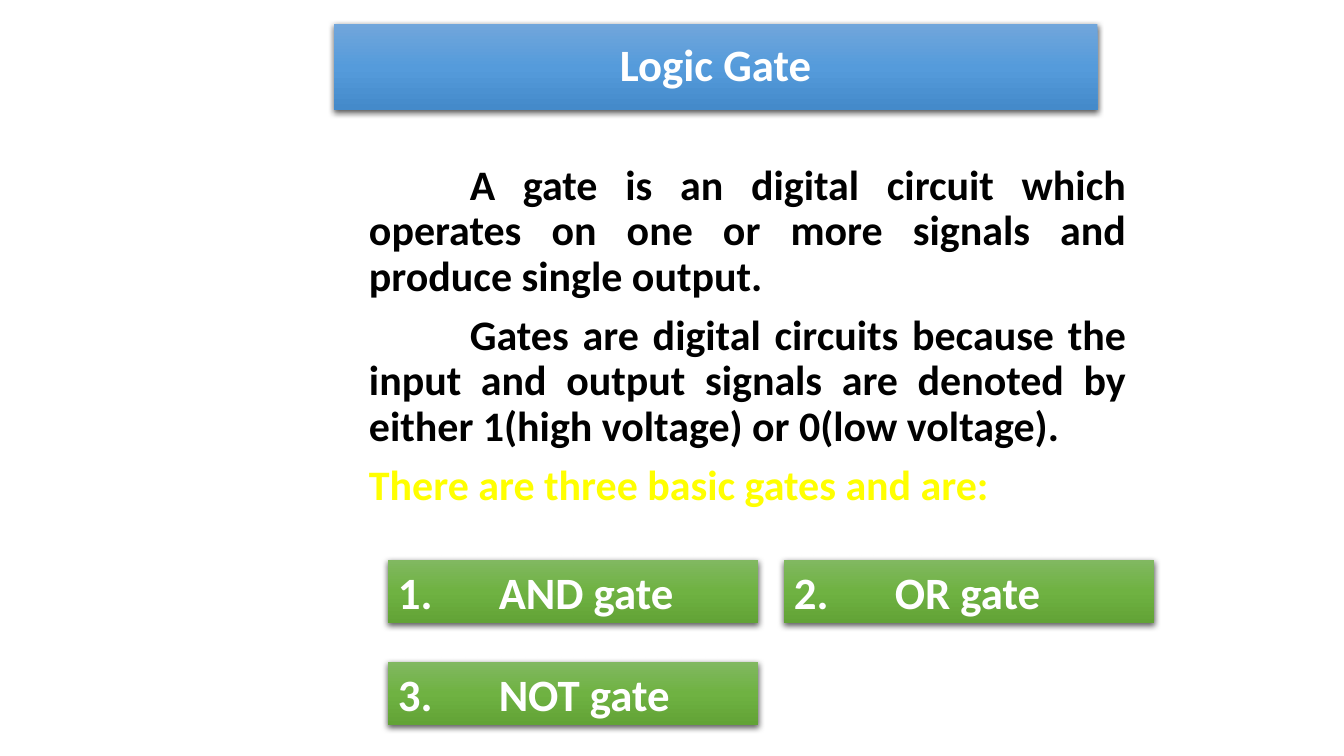
from copy import deepcopy
from dataclasses import dataclass

from lxml import etree
from pptx import Presentation
from pptx.dml.color import RGBColor
from pptx.enum.shapes import MSO_SHAPE
from pptx.enum.text import MSO_ANCHOR, PP_ALIGN
from pptx.oxml import parse_xml
from pptx.oxml.ns import nsdecls, qn
from pptx.util import Cm, Pt

RECTANGLE = MSO_SHAPE.RECTANGLE
MIDDLE, TOP = MSO_ANCHOR.MIDDLE, MSO_ANCHOR.TOP
LEFT, CENTER, JUSTIFY = PP_ALIGN.LEFT, PP_ALIGN.CENTER, PP_ALIGN.JUSTIFY


@dataclass(frozen=True)
class Theme:
    font: str = "Calibri"
    heading_size: int = 32
    body_size: int = 30
    white: str = "FFFFFF"
    black: str = "000000"
    yellow: str = "FFFF00"
    blue_shades: tuple = ("71A6DB", "559BDB", "448ACA")
    green_shades: tuple = ("81B861", "6FB242", "62A336")


class SlideBuilder:
    def __init__(self, slide, theme):
        self.slide = slide
        self.theme = theme

    def style(self, paragraph, size, color, align):
        paragraph.alignment = align
        font = paragraph.font
        font.name, font.size, font.bold = self.theme.font, Pt(size), True
        font.color.rgb = RGBColor.from_string(color)

    def shade(self, panel, shades):
        """Fill top to bottom with three evenly spaced shades."""
        panel.fill.gradient()
        panel.fill.gradient_angle = 270
        first_stop = next(panel._element.spPr.iter(qn("a:gs")))
        first_stop.addnext(deepcopy(first_stop))
        for i, (stop, shade) in enumerate(zip(panel.fill.gradient_stops, shades)):
            stop.position = i / 2
            stop.color.rgb = RGBColor.from_string(shade)

    def cast_shadow(self, panel):
        panel.shadow.inherit = False
        effects = panel._element.spPr.find(qn("a:effectLst"))
        effects.append(parse_xml(
            f'<a:outerShdw {nsdecls("a")} blurRad="{Pt(4.5)}" dist="{Pt(1.5)}" '
            'dir="5400000" algn="ctr" rotWithShape="0"><a:srgbClr val="000000">'
            '<a:alpha val="63000"/></a:srgbClr></a:outerShdw>'))

    def panel(self, text, left, top, width, height, shades, align=LEFT, tab=None):
        panel = self.slide.shapes.add_shape(
            RECTANGLE, Cm(left), Cm(top), Cm(width), Cm(height))
        self.shade(panel, shades)
        panel.line.fill.background()
        self.cast_shadow(panel)
        frame = panel.text_frame
        frame.word_wrap = True
        frame.vertical_anchor = MIDDLE
        paragraph = frame.paragraphs[0]
        paragraph.text = text
        if tab:
            stops = etree.SubElement(paragraph._p.get_or_add_pPr(), qn("a:tabLst"))
            etree.SubElement(stops, qn("a:tab"), pos=str(Cm(tab)), algn="l")
        self.style(paragraph, self.theme.heading_size, self.theme.white, align)
        paragraph.line_spacing = 0.9 if align == CENTER else 1.0

    def body(self, passages, left, top, width, height):
        """Write (text, first-line indent, colour) passages in one box."""
        frame = self.slide.shapes.add_textbox(
            Cm(left), Cm(top), Cm(width), Cm(height)).text_frame
        frame.word_wrap = True
        frame.vertical_anchor = TOP
        for i, (text, indent, color) in enumerate(passages):
            paragraph = frame.add_paragraph() if i else frame.paragraphs[0]
            paragraph.text = text
            properties = paragraph._p.get_or_add_pPr()
            properties.set("marL", str(Cm(0.64)))
            properties.set("indent", str(Cm(indent)))
            self.style(paragraph, self.theme.body_size, color, JUSTIFY)
            paragraph.line_spacing = 0.9
            if i:
                paragraph.space_before = Pt(10)


def main():
    deck = Presentation()
    deck.slide_width, deck.slide_height = Cm(33.87), Cm(19.05)
    theme = Theme()
    builder = SlideBuilder(deck.slides.add_slide(deck.slide_layouts[6]), theme)

    # Title banner
    builder.panel("Logic Gate", 8.41, 0.61, 19.25, 2.16, theme.blue_shades, CENTER)

    # Definition of a gate
    builder.body([
        ("A gate is an digital circuit which operates on one or more signals "
         "and produce single output.", 2.54, theme.black),
        ("Gates are digital circuits because the input and output signals are "
         "denoted by either 1(high voltage) or 0(low voltage).", 2.54, theme.black),
        ("There are three basic gates and are:", 0, theme.yellow),
    ], 8.41, 4.01, 20.24, 14.45)

    # Basic gates, two to a row
    for i, gate in enumerate(("AND", "OR", "NOT")):
        row, column = divmod(i, 2)
        builder.panel(f"{i + 1}.\t{gate} gate", 9.78 + 9.98 * column,
                      14.1 + 2.57 * row, 9.32, 1.6, theme.green_shades, tab=2.54)

    deck.save("out.pptx")


if __name__ == "__main__":
    main()
